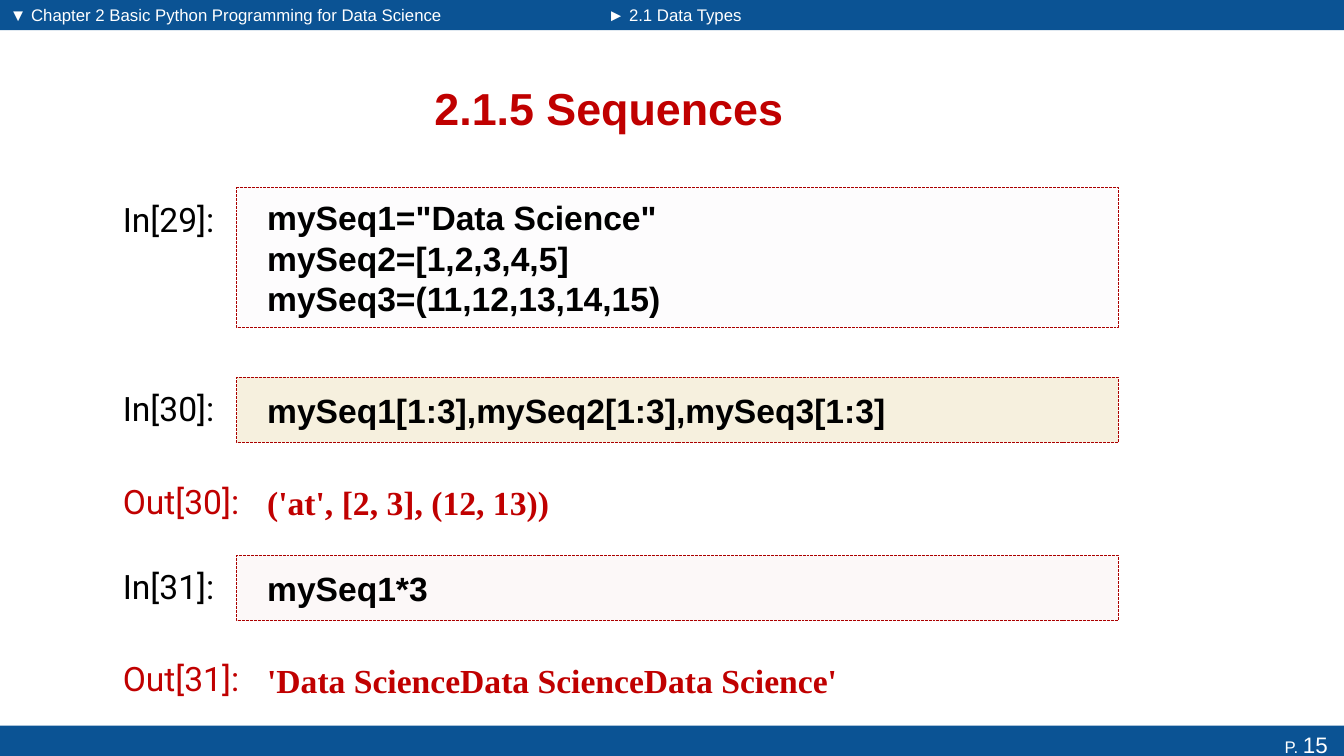
from pptx import Presentation
from pptx.dml.color import RGBColor
from pptx.enum.dml import MSO_LINE
from pptx.enum.shapes import MSO_SHAPE
from pptx.enum.text import MSO_ANCHOR as ANCHOR, PP_ALIGN as ALIGN
from pptx.oxml.ns import qn
from pptx.util import Emu, Pt
from lxml import etree

PX = 9144  # 100 px to the inch
BLUE, RED, BLACK, WHITE = "0B5394", "C00000", "000000", "FFFFFF"

prs = Presentation()
prs.slide_width, prs.slide_height = Emu(1333 * PX), Emu(750 * PX)
s = prs.slides.add_slide(prs.slide_layouts[6])


def add_box(x, y, w, h, fill=None, alpha=100):
    """Add a text box, or a rectangle without outline when a fill is given."""
    at = [Emu(v * PX) for v in (x, y, w, h)]
    if fill is None:
        return s.shapes.add_textbox(*at)
    sp = s.shapes.add_shape(MSO_SHAPE.RECTANGLE, *at)
    sp.shadow.inherit = False
    sp.fill.solid()
    sp.fill.fore_color.rgb = RGBColor.from_string(fill)
    sp.line.fill.background()
    if alpha < 100:
        color = sp.fill._xPr.find(qn("a:solidFill"))[0]
        etree.SubElement(color, qn("a:alpha"), val=str(alpha * 1000))
    return sp


def write(sp, text, size, color, font="Arial", bold=False, align=ALIGN.LEFT,
          anchor=ANCHOR.TOP, left=10, right=10):
    tf = sp.text_frame
    tf.text = text
    tf.word_wrap = True
    tf.vertical_anchor = anchor
    tf.margin_left, tf.margin_right = Emu(left * PX), Emu(right * PX)
    tf.margin_top = tf.margin_bottom = Emu(5 * PX)
    for p in tf.paragraphs:
        p.alignment = align
        for r in p.runs:
            r.font.name, r.font.size, r.font.bold = font, Pt(size), bold
            r.font.color.rgb = RGBColor.from_string(color)


# Header and footer bars
for x, w, heading in [
    (0, 593, "▼ Chapter 2 Basic Python Programming for Data Science"),
    (593, 740, "► 2.1 Data Types"),
]:
    write(add_box(x, 0, w, 30, BLUE), heading, 12, WHITE)

footer = add_box(0, 720, 1333, 30, BLUE)
write(footer, "P. ", 12, WHITE, align=ALIGN.RIGHT, right=16)
page = footer.text_frame.paragraphs[0].add_run()
page.text = "15"
page.font.name, page.font.size = "Arial", Pt(16)
page.font.color.rgb = RGBColor.from_string(WHITE)

# Title
write(add_box(68, 62, 1072, 90), "2.1.5 Sequences", 32, RED, bold=True,
      align=ALIGN.CENTER, anchor=ANCHOR.MIDDLE)

# Notebook cells: label, top, height, content, fill (outputs have none)
cells = [
    ("In[29]:", 186, 139,
     'mySeq1="Data Science"\nmySeq2=[1,2,3,4,5]\nmySeq3=(11,12,13,14,15)',
     "F1EEF4"),
    ("In[30]:", 374, 65, "mySeq1[1:3],mySeq2[1:3],mySeq3[1:3]", "BF9000"),
    ("Out[30]:", 466, 65, "('at', [2, 3], (12, 13))", None),
    ("In[31]:", 551, 65, "mySeq1*3", "EDCDCB"),
    ("Out[31]:", 642, 65, "'Data ScienceData ScienceData Science'", None),
]
for label, y, h, content, fill in cells:
    is_input = fill is not None
    color = BLACK if is_input else RED
    write(add_box(112, y + 6, 146, 50), label, 24, color, font="Roboto")
    cell = add_box(235, y, 874, h, fill, alpha=13)
    if is_input:
        cell.line.color.rgb = RGBColor.from_string("AB0000")
        cell.line.width = Pt(0.7)
        cell.line.dash_style = MSO_LINE.SQUARE_DOT
    write(cell, content, 24, color, bold=True, anchor=ANCHOR.MIDDLE, left=30,
          font="Arial" if is_input else "Times New Roman")

prs.save("out.pptx")
